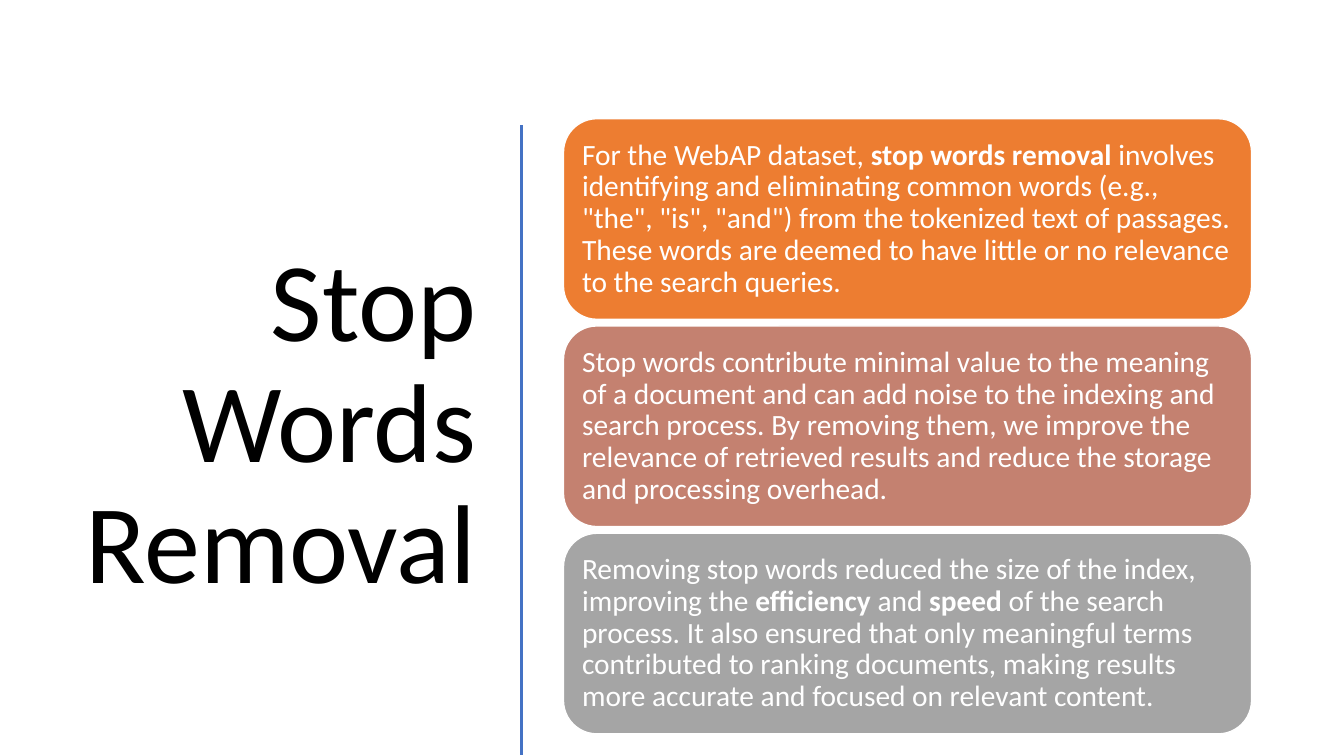
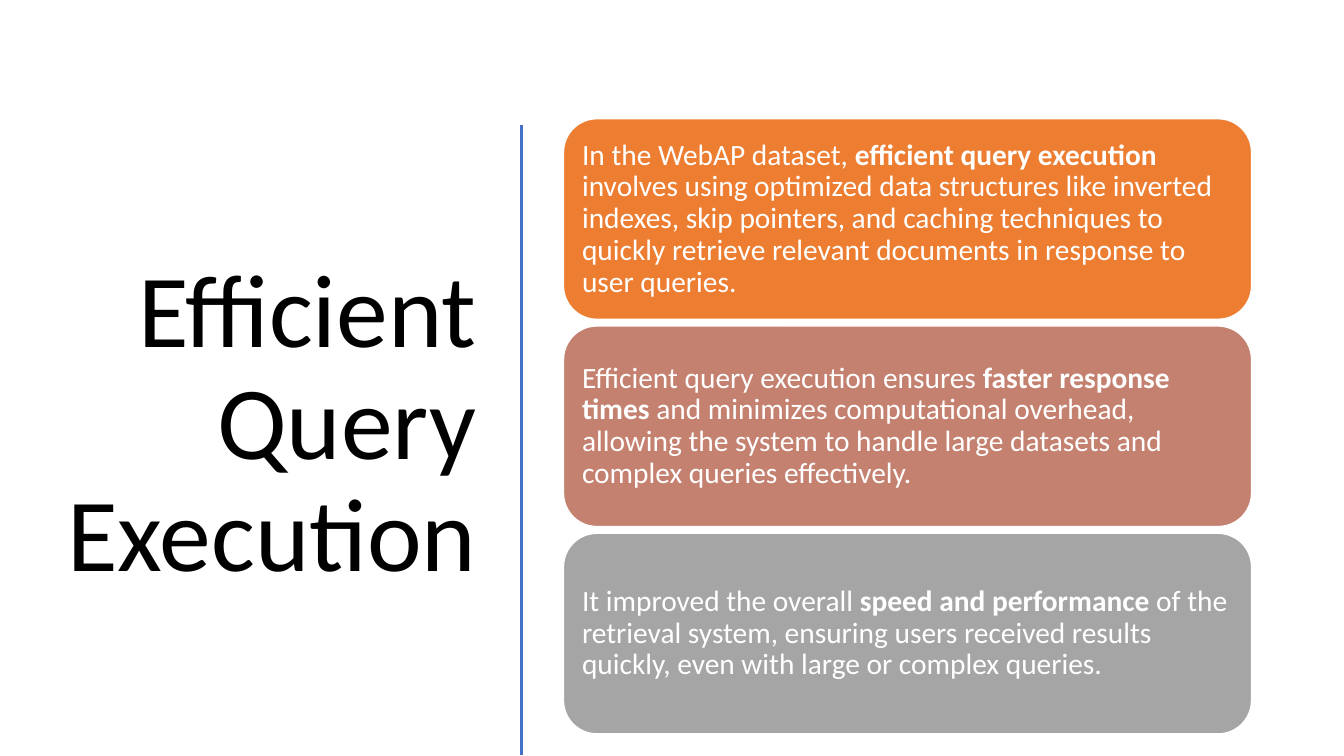
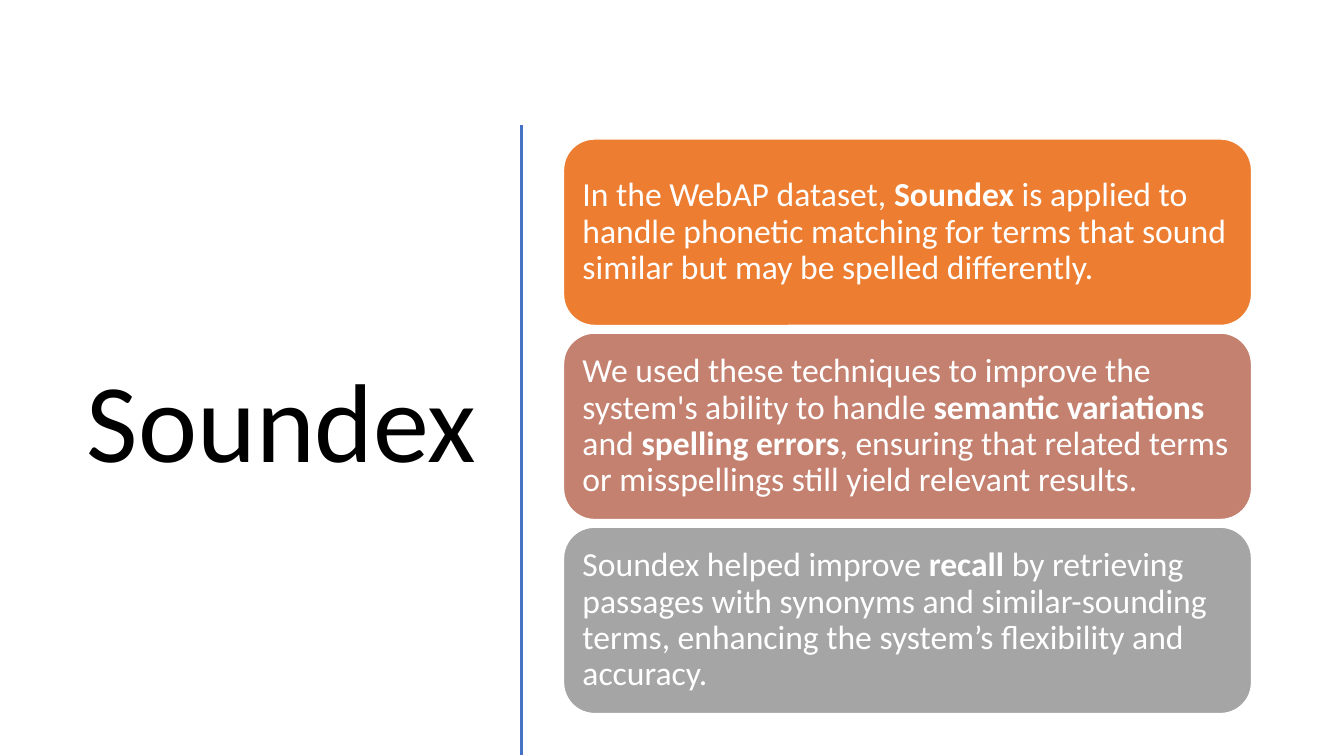
from pptx import Presentation
from pptx.dml.color import RGBColor
from pptx.enum.shapes import MSO_CONNECTOR, MSO_SHAPE
from pptx.enum.text import MSO_ANCHOR, MSO_AUTO_SIZE, PP_ALIGN
from pptx.oxml.ns import qn
from pptx.util import Pt
from lxml import etree

ROUNDED = MSO_SHAPE.ROUNDED_RECTANGLE
STRAIGHT = MSO_CONNECTOR.STRAIGHT
MIDDLE = MSO_ANCHOR.MIDDLE
NO_FIT = MSO_AUTO_SIZE.NONE
LEFT, RIGHT = PP_ALIGN.LEFT, PP_ALIGN.RIGHT

# Content: text between ** marks is bold
LARGE_CARDS = {"size": 21, "height": 143.3, "gap": 4.76, "inset": 6.3}
SMALL_CARDS = {"size": 24, "height": 133.2, "gap": 5.44, "inset": 7.2}

SLIDES = [
    {
        "title": "Stop Words Removal", "title_size": 80, "layout": LARGE_CARDS,
        "cards": [
            'For the WebAP dataset, **stop words removal** involves identifying and '
            'eliminating common words (e.g., "the", "is", "and") from the tokenized '
            'text of passages. These words are deemed to have little or no relevance '
            'to the search queries.',
            "Stop words contribute minimal value to the meaning of a document and can "
            "add noise to the indexing and search process. By removing them, we improve "
            "the relevance of retrieved results and reduce the storage and processing "
            "overhead.",
            "Removing stop words reduced the size of the index, improving the "
            "**efficiency** and **speed** of the search process. It also ensured that "
            "only meaningful terms contributed to ranking documents, making results "
            "more accurate and focused on relevant content.",
        ],
    },
    {
        "title": "Efficient Query Execution", "title_size": 74, "layout": LARGE_CARDS,
        "cards": [
            "In the WebAP dataset, **efficient query execution** involves using "
            "optimized data structures like inverted indexes, skip pointers, and "
            "caching techniques to quickly retrieve relevant documents in response to "
            "user queries.",
            "Efficient query execution ensures **faster response times** and minimizes "
            "computational overhead, allowing the system to handle large datasets and "
            "complex queries effectively.",
            "It improved the overall **speed and performance** of the retrieval system, "
            "ensuring users received results quickly, even with large or complex "
            "queries.",
        ],
    },
    {
        "title": "Soundex", "title_size": 80, "layout": SMALL_CARDS,
        "cards": [
            "In the WebAP dataset, **Soundex** is applied to handle phonetic matching "
            "for terms that sound similar but may be spelled differently.",
            "We used these techniques to improve the system's ability to handle "
            "**semantic variations** and **spelling errors**, ensuring that related "
            "terms or misspellings still yield relevant results.",
            "Soundex helped improve **recall** by retrieving passages with synonyms and "
            "similar-sounding terms, enhancing the system’s flexibility and accuracy.",
        ],
    },
]

# Shared style, lengths in points
FONT = "Calibri"
BLACK = RGBColor(0x00, 0x00, 0x00)
WHITE = RGBColor(0xFF, 0xFF, 0xFF)
BLUE = RGBColor(0x44, 0x72, 0xC4)
CARD_FILLS = [
    RGBColor(0xED, 0x7D, 0x31),
    RGBColor(0xC4, 0x81, 0x70),
    RGBColor(0xA5, 0xA5, 0xA5),
]
SLIDE_W, SLIDE_H = 960, 540
TITLE_BOX = {"left": 37.4, "top": 84.2, "width": 310.3, "height": 440}
DIVIDER_X, DIVIDER_TOP, DIVIDER_BOTTOM = 372.3, 89.3, 539.5
CARD_LEFT, CARD_W = 402.5, 491.5
STACK_CENTRE = 304.5


def set_all(target, values):
    for name, value in values.items():
        setattr(target, name, value)


def write(frame, text, size, color, align):
    set_all(frame, {"word_wrap": True, "auto_size": NO_FIT, "vertical_anchor": MIDDLE})
    paragraph = frame.paragraphs[0]
    set_all(paragraph, {"alignment": align, "line_spacing": 0.9, "space_before": Pt(0)})
    for index, part in enumerate(text.split("**")):
        if part:
            run = paragraph.add_run()
            run.text = part
            set_all(run.font, {"name": FONT, "size": Pt(size), "bold": index % 2 == 1})
            run.font.color.rgb = color


def add_title(slide, text, size):
    title = slide.shapes.title
    set_all(title, {side: Pt(length) for side, length in TITLE_BOX.items()})
    write(title.text_frame, text, size, BLACK, RIGHT)


def add_divider(slide):
    divider = slide.shapes.add_connector(
        STRAIGHT, Pt(DIVIDER_X), Pt(DIVIDER_TOP), Pt(DIVIDER_X), Pt(DIVIDER_BOTTOM))
    divider.line.color.rgb = BLUE
    divider.line.width = Pt(2)
    etree.SubElement(divider._element.spPr, qn("a:effectLst"))


def add_cards(slide, texts, layout):
    height, gap = layout["height"], layout["gap"]
    pitch = height + gap
    top = STACK_CENTRE - (len(texts) * pitch - gap) / 2
    inset = Pt(layout["inset"])
    for row, (text, fill) in enumerate(zip(texts, CARD_FILLS)):
        card = slide.shapes.add_shape(
            ROUNDED, Pt(CARD_LEFT), Pt(top + row * pitch), Pt(CARD_W), Pt(height))
        card.shadow.inherit = False
        card.fill.solid()
        card.fill.fore_color.rgb = fill
        card.line.color.rgb = WHITE
        card.line.width = Pt(1)
        set_all(card.text_frame, {f"margin_{side}": inset
                                  for side in ("left", "top", "right", "bottom")})
        write(card.text_frame, text, layout["size"], WHITE, LEFT)


def main():
    deck = Presentation()
    set_all(deck, {"slide_width": Pt(SLIDE_W), "slide_height": Pt(SLIDE_H)})
    title_only = deck.slide_layouts[5]
    for content in SLIDES:
        slide = deck.slides.add_slide(title_only)
        add_title(slide, content["title"], content["title_size"])
        add_divider(slide)
        add_cards(slide, content["cards"], content["layout"])
    deck.save("out.pptx")


if __name__ == "__main__":
    main()
